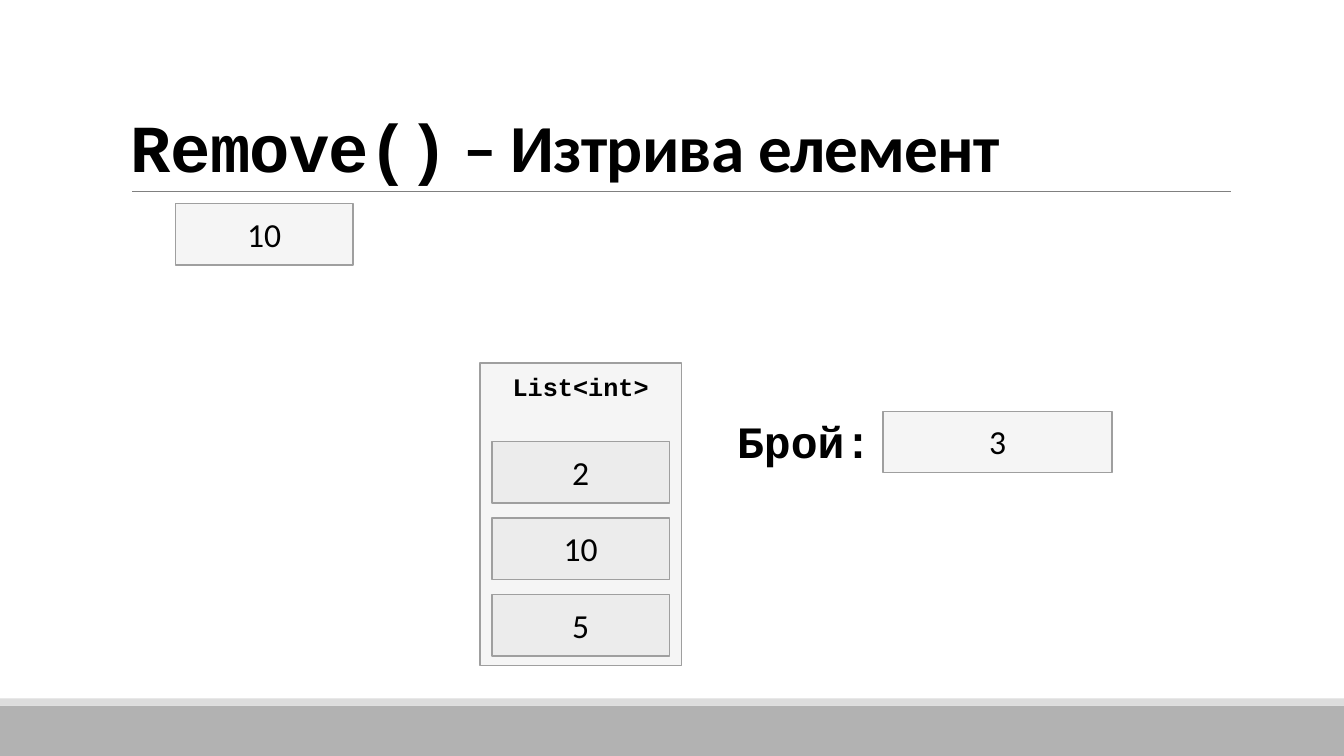
from dataclasses import dataclass

from lxml.etree import SubElement
from pptx import Presentation
from pptx.dml.color import RGBColor
from pptx.enum.shapes import MSO_CONNECTOR, MSO_SHAPE
from pptx.enum.text import MSO_ANCHOR, MSO_AUTO_SIZE, PP_ALIGN
from pptx.oxml.ns import qn
from pptx.util import Pt

PX = 9144  # EMU in one px, 100 px to the inch
COLORS = {
    "text": "000000",
    "cell": "BFBFBF",
    "edge": "9F9F9F",
    "rule": "808080",
    "footer": "B2B2B2",
    "strip": "DDDDDD",
}
CODE, BODY = "Courier New", "Calibri"
CELL_WIDTH, CELL_HEIGHT = 176, 61
ROW_LEFT, ROW_TOP, ROW_STEP = 488, 438, 76


@dataclass
class Cell:
    left: int
    top: int
    text: str
    width: int = CELL_WIDTH
    height: int = CELL_HEIGHT


def color(name: str) -> RGBColor:
    return RGBColor.from_string(COLORS[name])


def add_panel(page, left: int, top: int, width: int, height: int, fill: str,
              edge: str = "", opacity: int = 100):
    box = page.shapes.add_shape(
        MSO_SHAPE.RECTANGLE, left * PX, top * PX, width * PX, height * PX)
    box.shadow.inherit = False
    box.fill.solid()
    box.fill.fore_color.rgb = color(fill)
    if opacity < 100:
        tint = box.fill._xPr.find(qn("a:solidFill"))[0]
        SubElement(tint, qn("a:alpha")).set("val", str(opacity * 1000))
    if edge:
        box.line.color.rgb = color(edge)
        box.line.width = Pt(1)
    else:
        box.line.fill.background()
    return box


def write(box, spans: list[tuple[str, str]], *, size: int, bold: bool = False,
          align=PP_ALIGN.LEFT, anchor=MSO_ANCHOR.TOP, inset: tuple[int, int] = (10, 5),
          line_spacing: float = 1.0, indent: int = 0, tracking: int = 0,
          grow: bool = False) -> None:
    """Fill a box with one paragraph of (text, font) spans."""
    frame = box.text_frame
    frame.word_wrap = True
    frame.auto_size = MSO_AUTO_SIZE.SHAPE_TO_FIT_TEXT if grow else MSO_AUTO_SIZE.NONE
    frame.vertical_anchor = anchor
    frame.margin_left = frame.margin_right = inset[0] * PX
    frame.margin_top = frame.margin_bottom = inset[1] * PX
    para = frame.paragraphs[0]
    para.alignment = align
    para.line_spacing = line_spacing
    if indent:
        para._p.get_or_add_pPr().set("marL", str(indent * PX))
    for text, font in spans:
        span = para.add_run()
        span.text = text
        span.font.name = font
        span.font.size = Pt(size)
        span.font.bold = bold
        span.font.color.rgb = color("text")
        if tracking:
            span._r.get_or_add_rPr().set("spc", str(tracking))


def add_text(page, left: int, top: int, width: int, height: int,
             spans: list[tuple[str, str]], **style) -> None:
    box = page.shapes.add_textbox(left * PX, top * PX, width * PX, height * PX)
    write(box, spans, **style)


def add_cell(page, cell: Cell) -> None:
    box = add_panel(page, cell.left, cell.top, cell.width, cell.height,
                    "cell", "edge", opacity=15)
    write(box, [(cell.text, BODY)], size=24, align=PP_ALIGN.CENTER,
          inset=(20, 10), grow=True)


def add_rule(page, left: int, right: int, top: int) -> None:
    rule = page.shapes.add_connector(
        MSO_CONNECTOR.STRAIGHT, left * PX, top * PX, right * PX, top * PX)
    rule.line.color.rgb = color("rule")
    rule.line.width = Pt(0.5)
    SubElement(rule._element.spPr, qn("a:effectLst"))


def main() -> None:
    deck = Presentation()
    deck.slide_width, deck.slide_height = 1333 * PX, 750 * PX
    page = deck.slides.add_slide(deck.slide_layouts[6])

    # Footer bands and title
    add_panel(page, 0, 700, 1333, 50, "footer")
    add_panel(page, 0, 693, 1333, 7, "strip")
    add_rule(page, 131, 1221, 190)
    add_text(page, 120, 31, 1100, 159,
             [("Remove()", CODE), (" – Изтрива елемент", BODY)],
             size=48, bold=True, anchor=MSO_ANCHOR.BOTTOM,
             line_spacing=0.85, tracking=-50)

    # List with its stacked values
    add_panel(page, 476, 360, 200, 300, "cell", "edge", opacity=15)
    add_text(page, 476, 363, 200, 50, [("List<int>", CODE)], size=18, bold=True,
             align=PP_ALIGN.CENTER, grow=True)
    for row, value in enumerate(("2", "10", "5")):
        add_cell(page, Cell(ROW_LEFT, ROW_TOP + row * ROW_STEP, value))

    # Element count
    add_text(page, 669, 411, 217, 58, [("Брой:", CODE)], size=32, bold=True,
             anchor=MSO_ANCHOR.MIDDLE, inset=(12, 4), line_spacing=0.9, indent=50)
    add_cell(page, Cell(876, 408, "3", width=227))

    # Value to remove
    add_cell(page, Cell(174, 202, "10"))

    deck.save("out.pptx")


if __name__ == "__main__":
    main()
